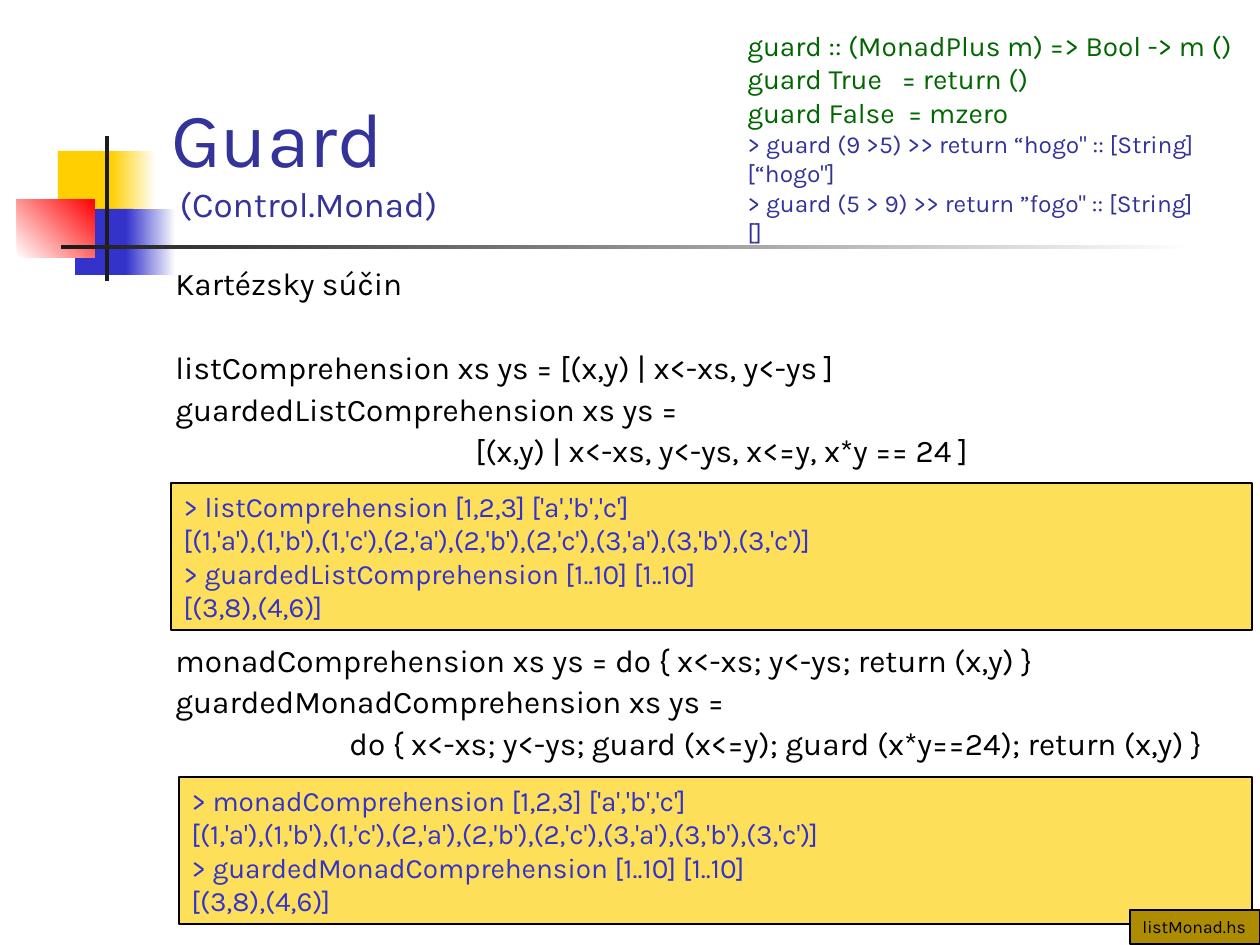
from pptx import Presentation
from pptx import util as u
from pptx.dml.color import RGBColor
from pptx.enum import shapes, text

PX = 914400 / 126
FONT = "Karla"
BLACK = RGBColor(0x00, 0x00, 0x00)
WHITE = RGBColor(0xFF, 0xFF, 0xFF)
CHARCOAL = RGBColor(0x1C, 0x1C, 0x1C)
GOLD = RGBColor(0xFF, 0xCF, 0x01)
RED = RGBColor(0xFF, 0x00, 0x00)
BLUE = RGBColor(0x33, 0x33, 0xCC)
NAVY = RGBColor(0x33, 0x33, 0x99)
GREEN = RGBColor(0x00, 0x66, 0x00)
PALE_GOLD = RGBColor(0xFE, 0xDF, 0x59)
DARK_GOLD = RGBColor(0xAD, 0x8C, 0x01)

# (left, top, width, height), colours from start to end, gradient angle
DECORATIONS = [
    ((58, 151, 60, 66), (GOLD,), 0),
    ((111, 151, 45, 66), (GOLD, WHITE), 0),
    ((75, 209, 58, 66), (BLUE,), 0),
    ((126, 209, 50, 66), (BLUE, WHITE), 0),
    ((17, 199, 78, 59), (WHITE, RED), 45),
    ((105, 136, 4, 145), (CHARCOAL,), 0),
    ((61, 245, 1134, 4), (CHARCOAL, WHITE), 0),
]

# text, left margin in px, space before in points
DEFINITIONS = [
    ("Kartézsky súčin", 0, 0),
    ("listComprehension xs ys = [(x,y) | x<-xs, y<-ys ]", 0, 28.4),
    ("guardedListComprehension xs ys =", 0, 4.5),
    ("[(x,y) | x<-xs, y<-ys, x<=y, x*y == 24 ]", 300, 4.5),
    ("monadComprehension xs ys = do { x<-xs; y<-ys; return (x,y) }", 0, 100),
    ("guardedMonadComprehension xs ys =", 0, 4.5),
    ("do { x<-xs; y<-ys; guard (x<=y); guard (x*y==24); return (x,y) }", 174, 4.5),
]

GUARD_DEFINITION = [
    "guard :: (MonadPlus m) => Bool -> m ()",
    "guard True   = return ()",
    "guard False  = mzero",
]
GUARD_SESSION = [
    '> guard (9 >5) >> return “hogo" :: [String]',
    '[“hogo"]',
    '> guard (5 > 9) >> return ”fogo" :: [String]',
    "[]",
]


def px(length):
    return u.Emu(round(length * PX))


def add_run(paragraph, words, size, color):
    run = paragraph.add_run()
    run.text = words
    run.font.name = FONT
    run.font.size = u.Pt(size)
    run.font.color.rgb = color


def add_lines(frame, lines):
    """Write one left-aligned paragraph for each (words, size, color)."""
    for index, line in enumerate(lines):
        paragraph = frame.add_paragraph() if index else frame.paragraphs[0]
        paragraph.alignment = text.PP_ALIGN.LEFT
        add_run(paragraph, *line)


def add_rectangle(slide, box, colors, angle=0):
    """Add a borderless rectangle, with a gradient when two colors are given."""
    shape = slide.shapes.add_shape(shapes.MSO_SHAPE.RECTANGLE, *map(px, box))
    shape.shadow.inherit = False
    shape.line.fill.background()
    if len(colors) == 1:
        shape.fill.solid()
        shape.fill.fore_color.rgb = colors[0]
    else:
        shape.fill.gradient()
        shape.fill.gradient_angle = angle
        for position, (stop, color) in enumerate(zip(shape.fill.gradient_stops, colors)):
            stop.position = position
            stop.color.rgb = color
    return shape


def add_panel(slide, box, fill, lines, wrap=True):
    """Add a filled rectangle with a thin black border and text."""
    shape = add_rectangle(slide, box, (fill,))
    shape.line.color.rgb = BLACK
    shape.line.width = u.Pt(0.75)
    shape.text_frame.word_wrap = wrap
    shape.text_frame.vertical_anchor = text.MSO_ANCHOR.TOP
    add_lines(shape.text_frame, lines)


def add_session(slide, box, kind):
    lines = [
        f"> {kind}Comprehension [1,2,3] ['a','b','c']",
        "[(1,'a'),(1,'b'),(1,'c'),(2,'a'),(2,'b'),(2,'c'),(3,'a'),(3,'b'),(3,'c')]",
        f"> guarded{kind.capitalize()}Comprehension [1..10] [1..10]",
        "[(3,8),(4,6)]",
    ]
    add_panel(slide, box, PALE_GOLD, [(line, 16, BLUE) for line in lines])


def add_text_frame(slide, box):
    frame = slide.shapes.add_textbox(*map(px, box)).text_frame
    frame.word_wrap = True
    return frame


def add_title(slide):
    frame = add_text_frame(slide, (159, 29, 1074, 202))
    frame.vertical_anchor = text.MSO_ANCHOR.BOTTOM
    paragraph = frame.paragraphs[0]
    add_run(paragraph, "Guard", 44, NAVY)
    paragraph.add_line_break()
    add_run(paragraph, " (Control.Monad)", 20, NAVY)


def add_definitions(slide):
    frame = add_text_frame(slide, (163, 262, 1097, 567))
    add_lines(frame, [(words, 18, BLACK) for words, _, _ in DEFINITIONS])
    for paragraph, (_, margin, space) in zip(frame.paragraphs, DEFINITIONS):
        paragraph.line_spacing = 0.9
        paragraph.space_before = u.Pt(space)
        paragraph._p.get_or_add_pPr().set("marL", str(px(margin)))


def main():
    presentation = Presentation()
    presentation.slide_width = px(1260)
    presentation.slide_height = px(945)
    slide = presentation.slides.add_slide(presentation.slide_layouts[6])

    for box, colors, angle in DECORATIONS:
        add_rectangle(slide, box, colors, angle)
    add_title(slide)
    add_definitions(slide)
    add_session(slide, (171, 483, 1081, 147), "list")
    add_session(slide, (179, 777, 1073, 147), "monad")
    add_lines(
        add_text_frame(slide, (735, 22, 557, 232)),
        [(line, 16, GREEN) for line in GUARD_DEFINITION]
        + [(line, 14, NAVY) for line in GUARD_SESSION],
    )
    add_panel(slide, (1130, 910, 130, 34), DARK_GOLD,
              [("listMonad.hs", 10, BLACK)], wrap=False)

    presentation.save("out.pptx")


if __name__ == "__main__":
    main()
